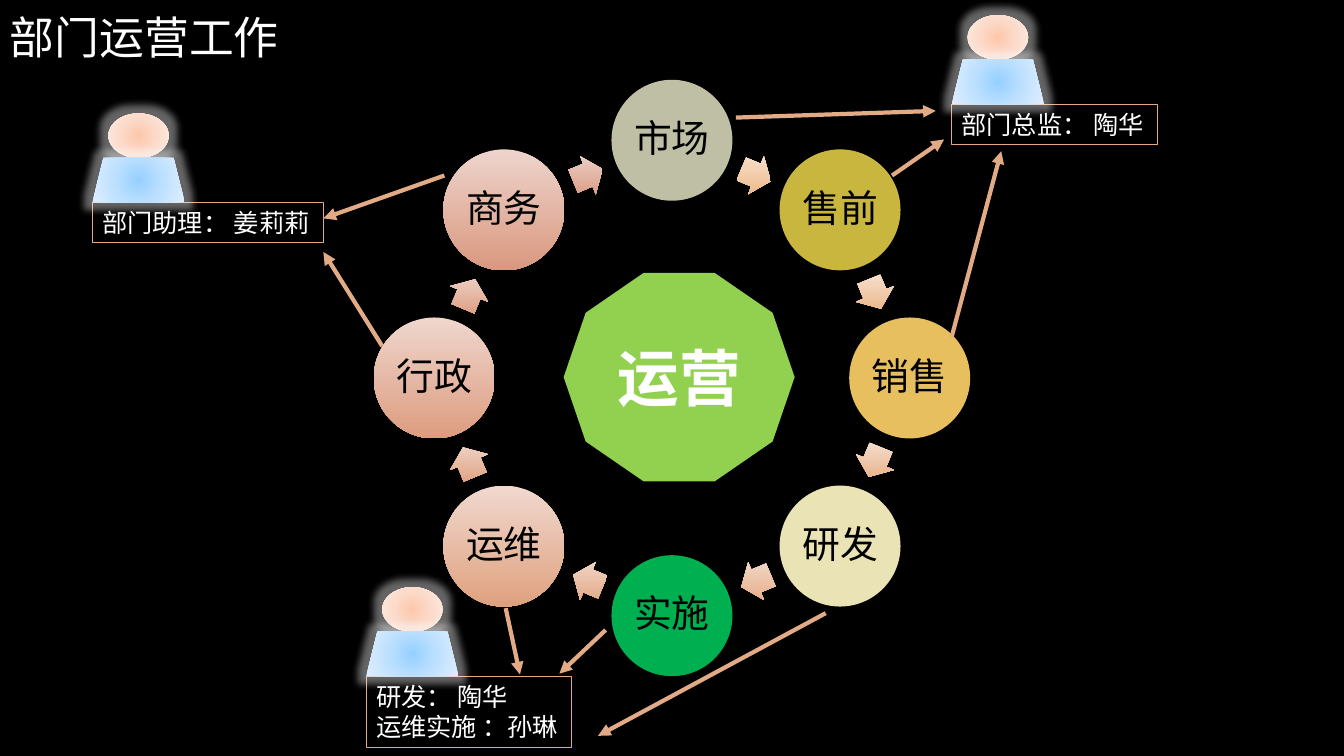
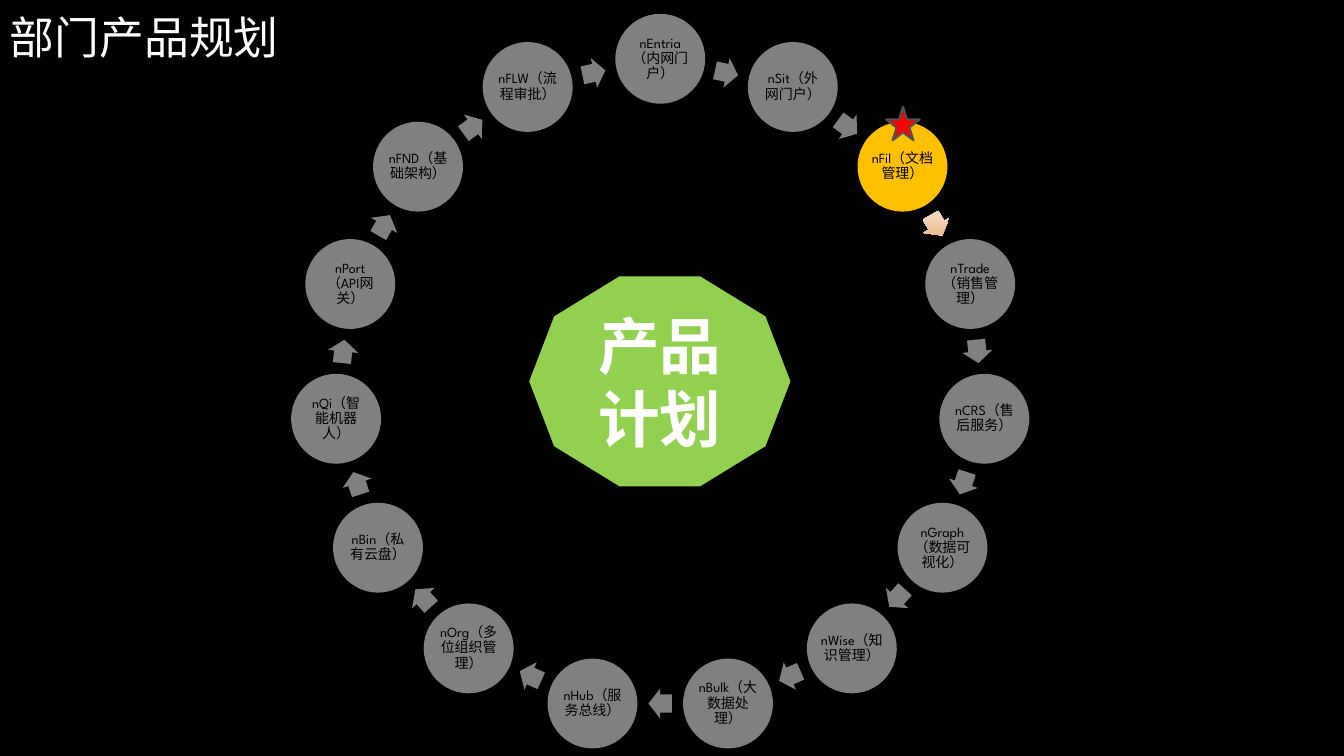
"""Build two black slides with rings of linked nodes around a central decagon."""
import math

from lxml import etree
from pptx import Presentation
from pptx import util as u
from pptx.dml.color import RGBColor
from pptx.enum import lang, shapes, text
from pptx.oxml import parse_xml
from pptx.oxml.ns import nsdecls, qn

COLUMNS, ROWS = 16, 9
CELL = u.Inches(7.5) / ROWS
FONT = "League Spartan"
COLORS = {
    "back": "000000", "light": "FFFFFF", "ink": "000000", "core": "92D050",
    "link": "E2AA85", "idle": "808080", "active": "FFC000",
    "star": "FF0000", "star_edge": "525252",
    "market": "BFBFA5", "presale": "C9B63F", "sale": "E7BF5F",
    "develop": "EAE3B5", "deliver": "00B050",
    "warm_top": "F8E3D3", "warm_base": "EDB680",
    "cool_top": "EED4CC", "cool_base": "D9987F",
}
SKIN = ["FCC8AB", "FCDBCB", "FDEDE5"]
SHIRT = ["96D0FF", "BFE1FF", "E0EFFF"]
MIDDLE = text.MSO_ANCHOR.MIDDLE
CENTER = text.PP_ALIGN.CENTER
LEFT = text.PP_ALIGN.LEFT
SHAPE = shapes.MSO_SHAPE

OPERATIONS = {
    "center": (8, 4.5), "radius": 2.83, "node": 1.44, "arrow": (0.38, 0.49),
    "size": 27, "inset": 0.04,
}
PRODUCTS = {
    "center": (7.86, 4.58), "radius": 3.88, "node": 1.07, "arrow": (0.28, 0.36),
    "size": 10, "inset": 0.01,
}
DEPARTMENTS = [
    ("市场", "market"), ("售前", "presale"), ("销售", "sale"), ("研发", "develop"),
    ("实施", "deliver"), ("运维", None), ("行政", None), ("商务", None),
]
PRODUCT_NAMES = [
    "nEntria（内网门户）", "nSit（外网门户）", "nFil（文档管理）", "nTrade（销售管理）",
    "nCRS（售后服务）", "nGraph（数据可视化）", "nWise（知识管理）", "nBulk（大数据处理）",
    "nHub（服务总线）", "nOrg（多位组织管理）", "nBin（私有云盘）", "nQi（智能机器人）",
    "nPort（API网关）", "nFND（基础架构）", "nFLW（流程审批）",
]
ACTIVE = 2
STAFF = [
    (["研发： 陶华", "运维实施 ：孙琳"], (4.36, 8.05, 2.45, 0.85)),
    (["部门助理： 姜莉莉"], (1.1, 2.41, 2.75, 0.48)),
    (["部门总监： 陶华"], (11.33, 1.24, 2.45, 0.48)),
]
LINKS = [
    (9.83, 7.3, 7.12, 8.76), (6.02, 7.24, 6.19, 8.03), (7.21, 7.5, 6.66, 8.02),
    (5.29, 2.09, 3.85, 2.6), (4.55, 4.12, 3.85, 3), (8.76, 1.4, 11.14, 1.32),
    (10.62, 2.09, 11.24, 1.66), (11.33, 4.01, 11.92, 1.8),
]


def cells(*values):
    """Turn grid cells into lengths."""
    return [u.Emu(round(value * CELL)) for value in values]


def apply(target, values):
    """Set each named attribute on the target."""
    for name, value in values.items():
        setattr(target, name, value)


def rgb(name):
    """Return a palette colour."""
    return RGBColor.from_string(COLORS[name])


def blend(start, end, share):
    """Mix two palette colours and return the hex string."""
    pairs = zip(rgb(start), rgb(end))
    return "".join(f"{round(a + (b - a) * share):02X}" for a, b in pairs)


def warm_shades(step):
    """Return the two gradient shades of one of the eight ring steps."""
    return [blend(f"warm_{end}", f"cool_{end}", step / 7) for end in ("top", "base")]


def paint_gradient(shape, shades, radial=False):
    """Fill a shape with evenly spaced shades, downwards or from its centre."""
    last = len(shades) - 1
    stops = "".join(
        f'<a:gs pos="{100000 * i // last}"><a:srgbClr val="{shade}"/></a:gs>'
        for i, shade in enumerate(shades))
    half = 'l="50000" t="50000" r="50000" b="50000"'
    course = (f'<a:path path="circle"><a:fillToRect {half}/></a:path>' if radial
              else '<a:lin ang="5400000" scaled="0"/>')
    shape.fill.background()
    frame = shape._element.spPr
    frame.replace(frame.find(qn("a:noFill")), parse_xml(
        f'<a:gradFill {nsdecls("a")} rotWithShape="0">'
        f'<a:gsLst>{stops}</a:gsLst>{course}</a:gradFill>'))


def add_figure(page, kind, area, fill):
    """Add a borderless shape filled with a palette colour or a list of shades."""
    shape = page.shapes.add_shape(kind, *cells(*area))
    shape.shadow.inherit = False
    shape.line.fill.background()
    if isinstance(fill, list):
        paint_gradient(shape, fill, radial=len(fill) > 2)
    else:
        shape.fill.solid()
        shape.fill.fore_color.rgb = rgb(fill)
    return shape


def write(shape, lines, size, color="light", frame=None, para=None, bold=False):
    """Write the lines into a shape, one paragraph each."""
    box = shape.text_frame
    apply(box, {"word_wrap": True, "vertical_anchor": MIDDLE, **(frame or {})})
    for index, line in enumerate(lines):
        paragraph = box.add_paragraph() if index else box.paragraphs[0]
        apply(paragraph, {"alignment": CENTER, **(para or {})})
        span = paragraph.add_run()
        span.text = line
        apply(span.font, {"name": FONT, "size": u.Pt(size), "bold": bold,
                          "language_id": lang.MSO_LANGUAGE_ID.SIMPLIFIED_CHINESE})
        span.font.color.rgb = rgb(color)


def add_page(deck, title):
    """Add a black page with its title."""
    page = deck.slides.add_slide(deck.slide_layouts[6])
    page.background.fill.solid()
    page.background.fill.fore_color.rgb = rgb("back")
    box = page.shapes.add_textbox(*cells(0, 0, 13, 0.86))
    write(box, [title], 32, para={"alignment": LEFT})
    return page


def add_ring(page, ring, nodes):
    """Place (label, node fill, arrow fill) entries clockwise from the top."""
    step = 360 / len(nodes)
    sides = ("left", "top", "right", "bottom")
    inset = {f"margin_{side}": u.Inches(ring["inset"]) for side in sides}

    def area(degrees, radius, width, height):
        """Return the area centred at an angle and radius."""
        angle = math.radians(degrees)
        x, y = ring["center"]
        return (x + radius * math.sin(angle) - width / 2,
                y - radius * math.cos(angle) - height / 2, width, height)

    chord = ring["radius"] * math.cos(math.radians(step / 2))
    for index, (label, node_fill, arrow_fill) in enumerate(nodes):
        turn = index * step
        node = add_figure(page, SHAPE.OVAL,
                          area(turn, ring["radius"], ring["node"], ring["node"]), node_fill)
        write(node, [label], ring["size"], "ink", inset, {"line_spacing": 0.9})
        turn += step / 2
        arrow = add_figure(page, SHAPE.RIGHT_ARROW,
                           area(turn, chord, *ring["arrow"]), arrow_fill)
        arrow.adjustments[0] = 0.6
        arrow.rotation = turn


def add_core(page, lines, area):
    """Add the central decagon."""
    write(add_figure(page, SHAPE.DECAGON, area, "core"), lines, 44, bold=True)


def add_label(page, lines, area):
    """Add an outlined staff label."""
    box = page.shapes.add_textbox(*cells(*area))
    box.line.color.rgb = rgb("link")
    box.line.width = u.Pt(0.75)
    write(box, lines, 18, para={"alignment": LEFT},
          frame={"word_wrap": False, "vertical_anchor": text.MSO_ANCHOR.TOP,
                 "auto_size": text.MSO_AUTO_SIZE.SHAPE_TO_FIT_TEXT})


def add_person(page, left, base):
    """Stand a glowing figure on a base line."""
    width, height, head = 1.1, 0.53, 0.72
    parts = [
        (SHAPE.OVAL, (left + (width - head) / 2, base - 2 * height, head, height), SKIN),
        (SHAPE.TRAPEZOID, (left, base - height, width, height), SHIRT),
    ]
    for kind, area, shades in parts:
        shape = add_figure(page, kind, area, shades)
        effects = shape._element.spPr.find(qn("a:effectLst"))
        effects.append(parse_xml(
            f'<a:glow {nsdecls("a")} rad="139700"><a:srgbClr val="{COLORS["light"]}">'
            '<a:alpha val="40000"/></a:srgbClr></a:glow>'))


def add_link(page, ends):
    """Add an arrow between two grid points."""
    link = page.shapes.add_connector(shapes.MSO_CONNECTOR.STRAIGHT, *cells(*ends))
    link.line.color.rgb = rgb("link")
    link.line.width = u.Pt(3)
    etree.SubElement(link.line._get_or_add_ln(), qn("a:tailEnd"), type="triangle")
    etree.SubElement(link._element.spPr, qn("a:effectLst"))


def build_operations(deck):
    """Build the department operations page."""
    page = add_page(deck, "部门运营工作")
    add_ring(page, OPERATIONS, [
        (label, fill or warm_shades(step), warm_shades(step))
        for step, (label, fill) in enumerate(DEPARTMENTS)])
    add_core(page, ["运营"], (6.71, 3.25, 2.75, 2.48))
    for lines, area in STAFF:
        add_label(page, lines, area)
    for ends in LINKS:
        add_link(page, ends)
    for _, area in STAFF:
        add_person(page, *area[:2])


def build_products(deck):
    """Build the product planning page."""
    page = add_page(deck, "部门产品规划")
    nodes = [(name, "idle", "idle") for name in PRODUCT_NAMES]
    nodes[ACTIVE] = (PRODUCT_NAMES[ACTIVE], "active", warm_shades(1))
    add_ring(page, PRODUCTS, nodes)
    add_core(page, ["产品", "计划"], (6.3, 3.29, 3.11, 2.5))
    star = add_figure(page, SHAPE.STAR_5_POINT, (10.55, 1.27, 0.4, 0.4), "star")
    star.line.color.rgb = rgb("star_edge")
    star.line.width = u.Pt(1.5)


def main():
    """Build and save the deck."""
    deck = Presentation()
    deck.slide_width, deck.slide_height = cells(COLUMNS, ROWS)
    build_operations(deck)
    build_products(deck)
    deck.save("out.pptx")


if __name__ == "__main__":
    main()
